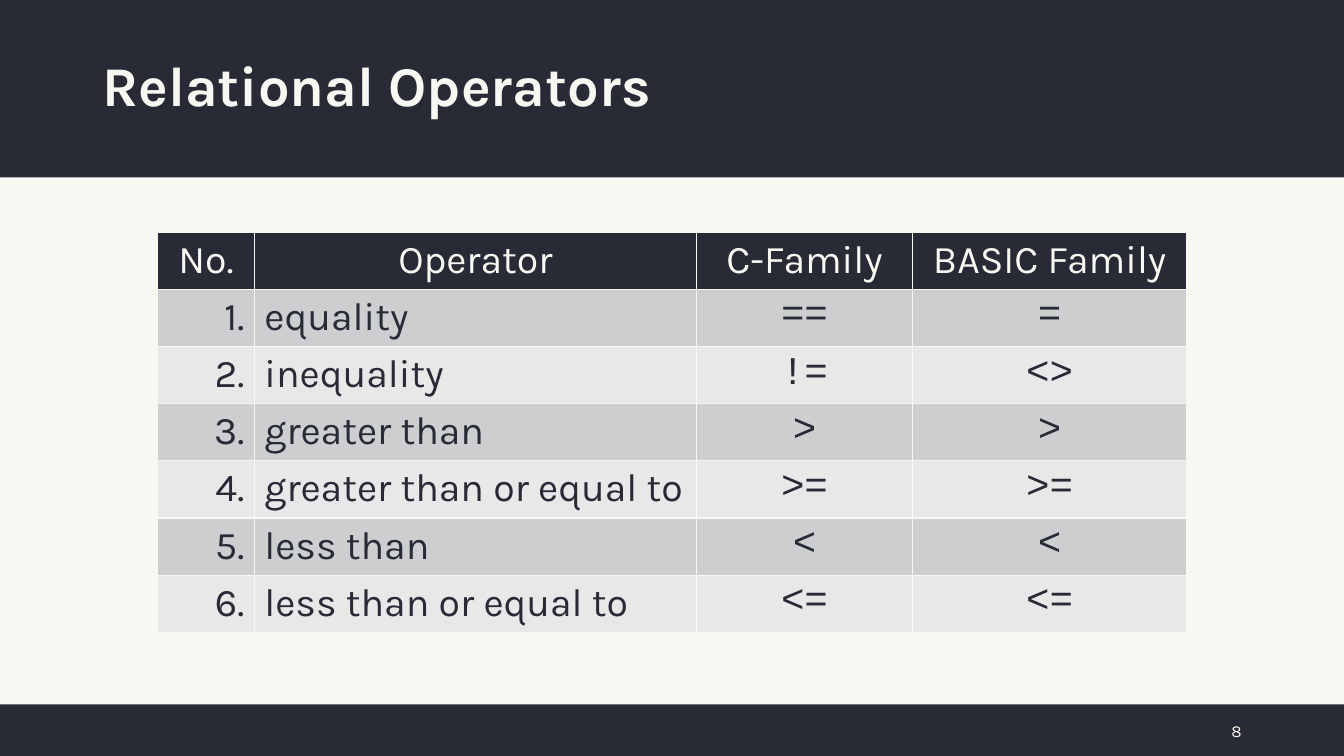
from pptx import Presentation
from pptx import util as u
from pptx.dml.color import RGBColor
from pptx.enum import shapes, text
from pptx.oxml import parse_xml
from pptx.oxml.ns import nsdecls

DARK = RGBColor(0x28, 0x2A, 0x36)
LIGHT = RGBColor(0xF8, 0xF8, 0xF2)
ODD_ROW = RGBColor(0xCD, 0xCE, 0xD0)
EVEN_ROW = RGBColor(0xE8, 0xE8, 0xE9)

SANS = "Karla"
MONO = "Courier New"
WIDTH, HEIGHT = 33.87, 19.05
HEADER_HEIGHT, FOOTER_HEIGHT = 4.47, 1.3
MARGIN = 2.33

LEFT, CENTER, RIGHT = text.PP_ALIGN.LEFT, text.PP_ALIGN.CENTER, text.PP_ALIGN.RIGHT
HEADINGS = ("No.", "Operator", "C-Family", "BASIC Family")
OPERATORS = (
    ("equality", "==", "="),
    ("inequality", "!=", "<>"),
    ("greater than", ">", ">"),
    ("greater than or equal to", ">=", ">="),
    ("less than", "<", "<"),
    ("less than or equal to", "<=", "<="),
)
COLUMN_WIDTHS = (2.44, 11.14, 5.45, 6.9)
COLUMN_STYLES = ((RIGHT, SANS), (LEFT, SANS), (CENTER, MONO), (CENTER, MONO))
ROW_HEIGHT = 1.41


def style(para, font, size, color, align):
    para.alignment = align
    para.font.name = font
    para.font.size = u.Pt(size)
    para.font.color.rgb = color


def add_bar(page, left, top, width, height):
    bar = page.shapes.add_shape(
        shapes.MSO_SHAPE.RECTANGLE, u.Cm(left), u.Cm(top), u.Cm(width), u.Cm(height))
    bar.shadow.inherit = False
    bar.fill.solid()
    bar.fill.fore_color.rgb = DARK
    bar.line.fill.background()


def add_header(page, left, top, width, height):
    add_bar(page, left, top, width, height)
    title = page.shapes.title
    # Bring the title in front of the bar
    page.shapes._spTree.append(title._element)
    title.left, title.top = u.Cm(left + MARGIN), u.Cm(top + 0.38)
    title.width, title.height = u.Cm(width - 2 * MARGIN), u.Cm(3.68)
    frame = title.text_frame
    frame.text = "Relational Operators"
    frame.auto_size = text.MSO_AUTO_SIZE.NONE
    frame.vertical_anchor = text.MSO_ANCHOR.MIDDLE
    para = frame.paragraphs[0]
    style(para, SANS, 40, LIGHT, LEFT)
    para.font.bold = True
    para.line_spacing = 0.9


def add_footer(page, left, top, width, height):
    add_bar(page, left, top, width, height)
    number_width = 1.88
    box = page.shapes.add_textbox(
        u.Cm(left + width - MARGIN - number_width), u.Cm(top + 0.15),
        u.Cm(number_width), u.Cm(1.02))
    frame = box.text_frame
    frame.word_wrap = True
    frame.vertical_anchor = text.MSO_ANCHOR.MIDDLE
    frame.text = "8"
    style(frame.paragraphs[0], SANS, 12, LIGHT, RIGHT)


def add_borders(cell):
    properties = cell._tc.get_or_add_tcPr()
    for side in "LRTB":
        properties.append(parse_xml(
            f'<a:ln{side} {nsdecls("a")} w="{u.Pt(1)}"><a:solidFill>'
            f'<a:srgbClr val="{LIGHT}"/></a:solidFill></a:ln{side}>'))


def fill_cell(cell, words, fill, font, color, align):
    add_borders(cell)
    cell.fill.solid()
    cell.fill.fore_color.rgb = fill
    cell.text = words
    style(cell.text_frame.paragraphs[0], font, 28, color, align)


def add_operator_table(page, left, top):
    row_count = len(OPERATORS) + 1
    table = page.shapes.add_table(
        row_count, len(HEADINGS), u.Cm(left), u.Cm(top),
        u.Cm(sum(COLUMN_WIDTHS)), u.Cm(ROW_HEIGHT * row_count)).table
    for column, width in zip(table.columns, COLUMN_WIDTHS):
        column.width = u.Cm(width)
    for row in table.rows:
        row.height = u.Cm(ROW_HEIGHT)

    # Heading row
    for col, heading in enumerate(HEADINGS):
        fill_cell(table.cell(0, col), heading, DARK, SANS, LIGHT, CENTER)

    # Numbered operators in alternating shades
    for number, operator in enumerate(OPERATORS, 1):
        fill = ODD_ROW if number % 2 else EVEN_ROW
        for col, words in enumerate((f"{number}.", *operator)):
            align, font = COLUMN_STYLES[col]
            fill_cell(table.cell(number, col), words, fill, font, DARK, align)


def main():
    deck = Presentation()
    deck.slide_width, deck.slide_height = u.Cm(WIDTH), u.Cm(HEIGHT)
    page = deck.slides.add_slide(deck.slide_layouts[5])
    page.background.fill.solid()
    page.background.fill.fore_color.rgb = LIGHT

    add_header(page, 0, 0, WIDTH, HEADER_HEIGHT)
    add_footer(page, 0, HEIGHT - FOOTER_HEIGHT, WIDTH, FOOTER_HEIGHT)
    add_operator_table(page, (WIDTH - sum(COLUMN_WIDTHS)) / 2, 5.85)
    deck.save("out.pptx")


if __name__ == "__main__":
    main()
